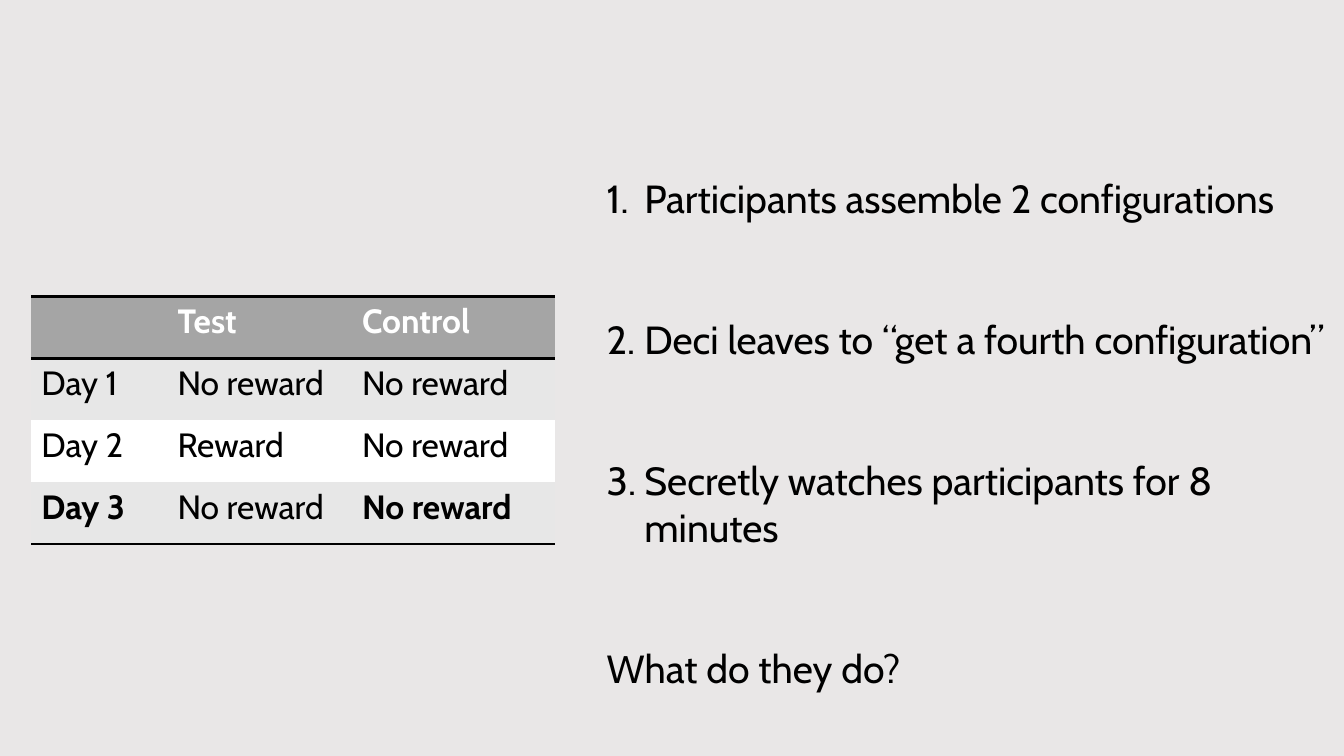
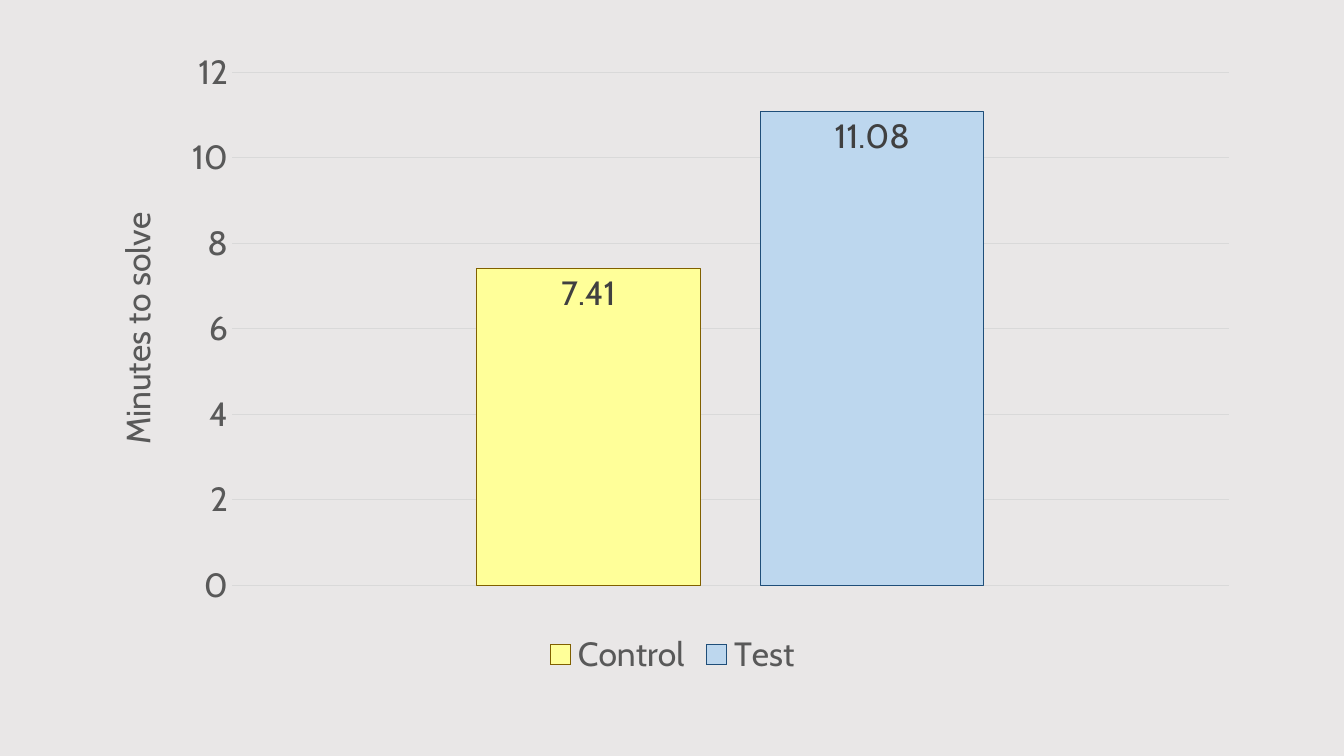
from lxml import etree
from pptx import Presentation
from pptx.chart.data import CategoryChartData
from pptx.dml.color import RGBColor
from pptx.enum.chart import XL_CHART_TYPE, XL_LABEL_POSITION, XL_LEGEND_POSITION, XL_TICK_MARK
from pptx.oxml import parse_xml
from pptx.oxml.ns import nsdecls, qn
from pptx.util import Cm, Pt

# Shared style
FONT = "Cabin"
BACKGROUND, BLACK, WHITE = "E9E7E7", "000000", "FFFFFF"
HEADER_GREY, BAND_GREY = "A5A5A5", "E7E7E7"
AXIS_GREY, LABEL_GREY, GRID_GREY = "595959", "404040", "D9D9D9"
TEXT_SIZE, SMALL_SIZE = 28, 24
NO_STYLE = "{2D5ABB26-0587-4C30-8999-92F81FD0307C}"


def rgb(value):
    return RGBColor.from_string(value)


def style_font(font, size, color, bold=False):
    font.name, font.size, font.bold = FONT, Pt(size), bold
    font.color.rgb = rgb(color)


def paint(fill, color):
    fill.solid()
    fill.fore_color.rgb = rgb(color)


def add_page(deck):
    page = deck.slides.add_slide(deck.slide_layouts[6])
    paint(page.background.fill, BACKGROUND)
    return page


def number_paragraph(para):
    properties = para._p.get_or_add_pPr()
    properties.set("marL", str(Cm(0.95)))
    properties.set("indent", str(-Cm(0.95)))
    etree.SubElement(properties, qn("a:buFont"), typeface="+mj-lt")
    etree.SubElement(properties, qn("a:buAutoNum"), type="arabicPeriod")


def add_steps(page, steps, question):
    box = page.shapes.add_textbox(Cm(15.04), Cm(4.27), Cm(18.87), Cm(13.2))
    frame = box.text_frame
    frame.word_wrap = True
    frame.text = "\n".join([*steps, question])
    for index, para in enumerate(frame.paragraphs):
        if index < len(steps):
            number_paragraph(para)
        if index:
            para.space_before = Pt(67)
        style_font(para.runs[0].font, TEXT_SIZE, BLACK)


def add_border(cell, side):
    line = parse_xml(
        f'<a:{side} {nsdecls("a")} w="{Pt(2)}"><a:solidFill>'
        f'<a:srgbClr val="{BLACK}"/></a:solidFill></a:{side}>'
    )
    cell._tc.get_or_add_tcPr().insert(0, line)


def add_schedule(page, rows, widths, bold_cells):
    row_height = Cm(1.56)
    table = page.shapes.add_table(
        len(rows), len(widths), Cm(0.79), Cm(7.47), Cm(sum(widths)), row_height * len(rows)
    ).table
    table.first_row = table.horz_banding = False
    table._tbl.tblPr.find(qn("a:tableStyleId")).text = NO_STYLE
    for column, width in zip(table.columns, widths):
        column.width = Cm(width)
    for row_index, row in enumerate(rows):
        is_header = row_index == 0
        band = HEADER_GREY if is_header else (BAND_GREY if row_index % 2 else WHITE)
        for column_index, text in enumerate(row):
            cell = table.cell(row_index, column_index)
            cell.text = text
            bold = is_header or (row_index, column_index) in bold_cells
            style_font(cell.text_frame.paragraphs[0].font, SMALL_SIZE,
                       WHITE if is_header else BLACK, bold)
            for span in cell.text_frame.paragraphs[0].runs:
                style_font(span.font, SMALL_SIZE, WHITE if is_header else BLACK, bold)
            paint(cell.fill, band)
            if is_header or row_index == len(rows) - 1:
                add_border(cell, "lnB")
            if is_header:
                add_border(cell, "lnT")


def place_plot(chart, x, y, width, height):
    plot_area = chart._chartSpace.chart.plotArea
    for old in plot_area.findall(qn("c:layout")):
        plot_area.remove(old)
    plot_area.insert(0, parse_xml(
        f'<c:layout {nsdecls("c")}><c:manualLayout><c:layoutTarget val="inner"/>'
        '<c:xMode val="edge"/><c:yMode val="edge"/>'
        f'<c:x val="{x}"/><c:y val="{y}"/><c:w val="{width}"/><c:h val="{height}"/>'
        "</c:manualLayout></c:layout>"
    ))


def style_value_axis(axis, title):
    axis.minimum_scale, axis.maximum_scale, axis.major_unit = 0, 12, 2
    axis.major_tick_mark = axis.minor_tick_mark = XL_TICK_MARK.NONE
    axis.format.line.fill.background()
    axis.major_gridlines.format.line.width = Pt(0.75)
    axis.major_gridlines.format.line.color.rgb = rgb(GRID_GREY)
    style_font(axis.tick_labels.font, SMALL_SIZE, AXIS_GREY)
    para = axis.axis_title.text_frame.paragraphs[0]
    para.text = title
    style_font(para.runs[0].font, SMALL_SIZE, AXIS_GREY)


def style_series(series, fill, line):
    paint(series.format.fill, fill)
    series.format.line.color.rgb = rgb(line)
    series.format.line.width = Pt(0.75)
    labels = series.data_labels
    labels.show_value = True
    labels.position = XL_LABEL_POSITION.INSIDE_END
    style_font(labels.font, SMALL_SIZE, LABEL_GREY)


def add_column_chart(page, title, groups):
    data = CategoryChartData()
    data.categories = ["1"]
    for name, value, _, _ in groups:
        data.add_series(name, [value])
    chart = page.shapes.add_chart(
        XL_CHART_TYPE.COLUMN_CLUSTERED, Cm(2.34), Cm(1.02), Cm(29.21), Cm(16.15), data
    ).chart
    style_font(chart.font, SMALL_SIZE, BLACK)
    chart.has_title = False
    chart.category_axis.visible = False
    style_value_axis(chart.value_axis, title)
    place_plot(chart, 0.12, 0.05, 0.86, 0.8)
    chart.has_legend = True
    chart.legend.position = XL_LEGEND_POSITION.BOTTOM
    chart.legend.include_in_layout = False
    style_font(chart.legend.font, SMALL_SIZE, AXIS_GREY)
    plot = chart.plots[0]
    plot.vary_by_categories = False
    plot.gap_width, plot.overlap = 219, -27
    for series, (_, _, fill, line) in zip(plot.series, groups):
        style_series(series, fill, line)


def main():
    deck = Presentation()
    deck.slide_width, deck.slide_height = Cm(33.87), Cm(19.05)

    # Experiment design
    page = add_page(deck)
    add_steps(page, [
        "Participants assemble 2 configurations",
        "Deci leaves to “get a fourth configuration”",
        "Secretly watches participants for 8 minutes",
    ], "What do they do?")
    add_schedule(page, [
        ["", "Test", "Control"],
        ["Day 1", "No reward", "No reward"],
        ["Day 2", "Reward", "No reward"],
        ["Day 3", "No reward", "No reward"],
    ], widths=[3.43, 4.65, 5.11], bold_cells={(3, 0), (3, 2)})

    # Solving times
    page = add_page(deck)
    add_column_chart(page, "Minutes to solve", [
        ("Control", 7.41, "FFFF99", "806000"),
        ("Test", 11.08, "BDD7EE", "1F4E79"),
    ])

    deck.save("out.pptx")


if __name__ == "__main__":
    main()
